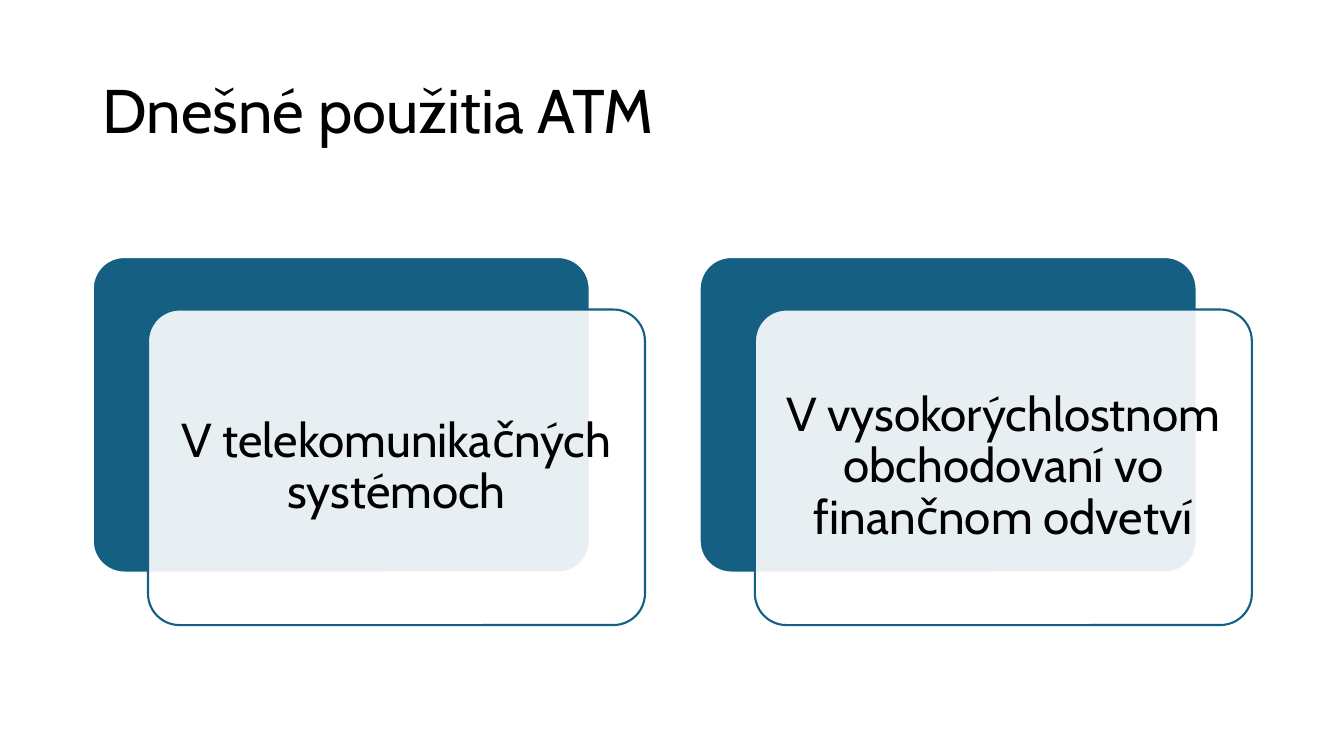
from dataclasses import dataclass
from lxml.etree import SubElement
from pptx import Presentation
from pptx.dml.color import RGBColor
from pptx.enum.shapes import MSO_SHAPE
from pptx.enum.text import MSO_ANCHOR, MSO_AUTO_SIZE, PP_ALIGN
from pptx.oxml.ns import qn
from pptx.util import Pt

TITLE = "Dnešné použitia ATM"
USES = [
    "V telekomunikačných systémoch",
    "V vysokorýchlostnom obchodovaní vo finančnom odvetví",
]


@dataclass(frozen=True)
class Theme:
    font: str = "Cabin"
    ink: RGBColor = RGBColor(0, 0, 0)
    blue: RGBColor = RGBColor(0x15, 0x60, 0x82)
    white: RGBColor = RGBColor(255, 255, 255)
    alpha: int = 90
    head: int = 44
    body: int = 34
    line: float = 1.5


LOOK = Theme()
LEFT, TOP = 66.24, 183.6
WIDE, HIGH = 355, 225.4
STEP = 433.5
SHIFT = (39.5, 37.5)
EDGE, PAD = 6.6, 10.2


def write(frame, text, size, align):
    frame.word_wrap = True
    frame.auto_size = MSO_AUTO_SIZE.NONE
    frame.vertical_anchor = MSO_ANCHOR.MIDDLE
    para = frame.paragraphs[0]
    para.alignment = align
    para.line_spacing = 0.9
    run = para.add_run()
    run.text = text
    run.font.name = LOOK.font
    run.font.size = Pt(size)
    run.font.color.rgb = LOOK.ink


def panel(group, x, y, fill, line):
    shape = group.shapes.add_shape(
        MSO_SHAPE.ROUNDED_RECTANGLE, Pt(x), Pt(y), Pt(WIDE), Pt(HIGH))
    shape.adjustments[0] = 0.1
    shape.shadow.inherit = False
    shape.fill.solid()
    shape.fill.fore_color.rgb = fill
    shape.line.color.rgb = line
    shape.line.width = Pt(LOOK.line)
    return shape


def fade(shape):
    color = shape.fill._xPr.find(qn("a:solidFill"))[0]
    SubElement(color, qn("a:alpha"), val=str(LOOK.alpha * 1000))


def card(group, x, text):
    panel(group, x, TOP, LOOK.blue, LOOK.white)
    left, top = x + SHIFT[0], TOP + SHIFT[1]
    fade(panel(group, left, top, LOOK.white, LOOK.blue))
    box = group.shapes.add_textbox(
        Pt(left + EDGE), Pt(top + EDGE), Pt(WIDE - 2 * EDGE), Pt(HIGH - 2 * EDGE))
    frame = box.text_frame
    frame.margin_left = frame.margin_right = Pt(PAD)
    frame.margin_top = frame.margin_bottom = Pt(PAD)
    write(frame, text, LOOK.body, PP_ALIGN.CENTER)


def main():
    deck = Presentation()
    deck.slide_width, deck.slide_height = Pt(960), Pt(540)
    slide = deck.slides.add_slide(deck.slide_layouts[5])
    title = slide.shapes.title
    title.left, title.top = Pt(66), Pt(28.75)
    title.width, title.height = Pt(828), Pt(104.4)
    write(title.text_frame, TITLE, LOOK.head, PP_ALIGN.LEFT)
    group = slide.shapes.add_group_shape()
    for i, text in enumerate(USES):
        card(group, LEFT + i * STEP, text)
    deck.save("out.pptx")


if __name__ == "__main__":
    main()
